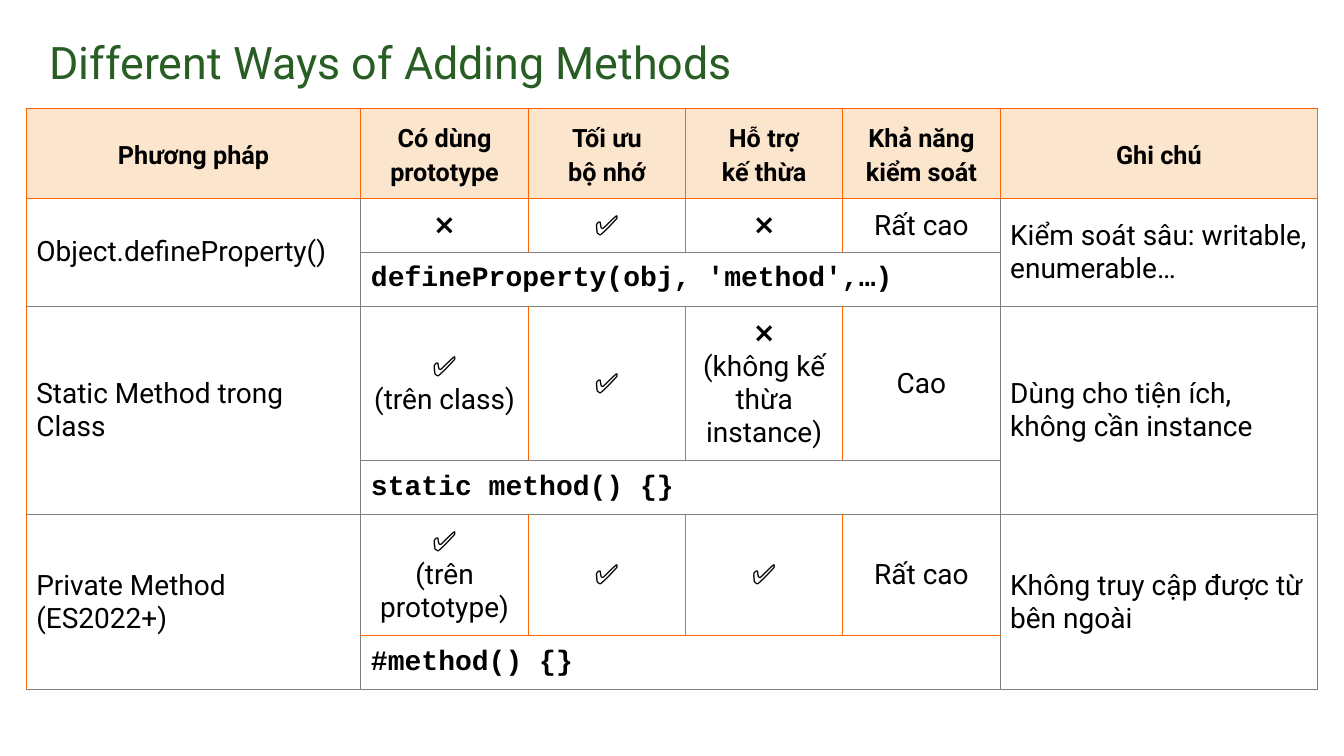
import lxml.etree
import pptx
import pptx.dml.color
import pptx.enum.text
import pptx.oxml.ns
import pptx.util

Inches = pptx.util.Inches
Pt = pptx.util.Pt
PP_ALIGN = pptx.enum.text.PP_ALIGN
MIDDLE = pptx.enum.text.MSO_ANCHOR.MIDDLE

COLORS = {
    "title": "285D23",
    "text": "000000",
    "header": "FCE5CD",
    "accent_line": "FF6400",
    "gray_line": "808080",
}
BODY_FONT = "Roboto"
CODE_FONT = "Courier New"

COLUMN_WIDTHS = [3.32, 1.66, 1.56, 1.56, 1.56, 3.15]
HEADER_HEIGHT = 0.87
CODE_HEIGHT = 0.51
HEADERS = [
    "Phương pháp",
    "Có dùng prototype",
    "Tối ưu\nbộ nhớ",
    "Hỗ trợ\nkế thừa",
    "Khả năng kiểm soát",
    "Ghi chú",
]
METHODS = [
    (0.53, "Object.defineProperty()", ["❌", "✅", "❌", "Rất cao"],
     "Kiểm soát sâu: writable, enumerable…", "defineProperty(obj, 'method',…)"),
    (1.51, "Static Method trong Class",
     ["✅\n(trên class)", "✅", "❌\n(không kế thừa instance)", "Cao"],
     "Dùng cho tiện ích, không cần instance", "static method() {}"),
    (1.18, "Private Method (ES2022+)",
     ["✅\n(trên prototype)", "✅", "✅", "Rất cao"],
     "Không truy cập được từ bên ngoài", "#method() {}"),
]
GRAY_ROW_EDGES = {2, 3, 4, 5, 7}
GRAY_COLUMN_EDGES = {1, 5, 6}


def color(name):
    return pptx.dml.color.RGBColor.from_string(COLORS[name])


def write(paragraph, text, size, font=BODY_FONT, bold=False,
          align=PP_ALIGN.LEFT, color_name="text"):
    paragraph.text = text
    paragraph.alignment = align
    paragraph.font.size = Pt(size)
    paragraph.font.name = font
    paragraph.font.bold = bold
    paragraph.font.color.rgb = color(color_name)


def add_title(slide, left, top, width, height):
    shape = slide.shapes.add_textbox(
        Inches(left), Inches(top), Inches(width), Inches(height))
    frame = shape.text_frame
    frame.word_wrap = True
    frame.vertical_anchor = MIDDLE
    frame.margin_left = frame.margin_right = Inches(0.05)
    frame.margin_top = frame.margin_bottom = Inches(0.05)
    write(frame.paragraphs[0], "Different Ways of Adding Methods", 32,
          color_name="title")


def add_border(cell, side, color_name):
    qn = pptx.oxml.ns.qn
    properties = cell._tc.get_or_add_tcPr()
    line = lxml.etree.SubElement(properties, qn("a:ln" + side), w=str(Pt(0.75)))
    fill = lxml.etree.SubElement(line, qn("a:solidFill"))
    lxml.etree.SubElement(fill, qn("a:srgbClr"), val=COLORS[color_name])


def format_cell(cell, row, column):
    cell.vertical_anchor = MIDDLE
    cell.margin_left = cell.margin_right = Inches(0.1)
    cell.margin_top = cell.margin_bottom = Inches(0.1)
    bottom = row + (cell.span_height if cell.is_merge_origin else 1)
    right = column + (cell.span_width if cell.is_merge_origin else 1)
    for side, edge in (("L", column), ("R", right)):
        gray = row > 0 and edge in GRAY_COLUMN_EDGES
        add_border(cell, side, "gray_line" if gray else "accent_line")
    for side, edge in (("T", row), ("B", bottom)):
        gray = edge in GRAY_ROW_EDGES
        add_border(cell, side, "gray_line" if gray else "accent_line")
    if row == 0:
        cell.fill.solid()
        cell.fill.fore_color.rgb = color("header")
    else:
        cell.fill.background()


def fill_method(table, row, name, ratings, note, code):
    for column, text in ((0, name), (5, note)):
        cell = table.cell(row, column)
        cell.merge(table.cell(row + 1, column))
        write(cell.text_frame.paragraphs[0], text, 20)
    for column, rating in enumerate(ratings, start=1):
        write(table.cell(row, column).text_frame.paragraphs[0], rating, 20,
              align=PP_ALIGN.CENTER)
    code_cell = table.cell(row + 1, 1)
    code_cell.merge(table.cell(row + 1, 4))
    write(code_cell.text_frame.paragraphs[0], code, 20, CODE_FONT, True)


def add_methods_table(slide, left, top):
    heights = [HEADER_HEIGHT]
    for method in METHODS:
        heights += [method[0], CODE_HEIGHT]
    table = slide.shapes.add_table(
        len(heights), len(COLUMN_WIDTHS), Inches(left), Inches(top),
        Inches(sum(COLUMN_WIDTHS)), Inches(sum(heights))).table
    table.first_row = False
    table.horz_banding = False
    for column, width in zip(table.columns, COLUMN_WIDTHS):
        column.width = Inches(width)
    for row, height in zip(table.rows, heights):
        row.height = Inches(height)
    for column, header in enumerate(HEADERS):
        paragraph = table.cell(0, column).text_frame.paragraphs[0]
        write(paragraph, header, 18, bold=True, align=PP_ALIGN.CENTER)
        paragraph.line_spacing = 1.15
    for index, (_, name, ratings, note, code) in enumerate(METHODS):
        fill_method(table, 1 + 2 * index, name, ratings, note, code)
    for row in range(len(heights)):
        for column in range(len(COLUMN_WIDTHS)):
            format_cell(table.cell(row, column), row, column)


def main():
    presentation = pptx.Presentation()
    presentation.slide_width = Inches(13.33)
    presentation.slide_height = Inches(7.5)
    slide = presentation.slides.add_slide(presentation.slide_layouts[6])
    add_title(slide, 0.44, 0.28, 12, 0.67)
    add_methods_table(slide, 0.26, 1.08)
    presentation.save("out.pptx")


if __name__ == "__main__":
    main()
